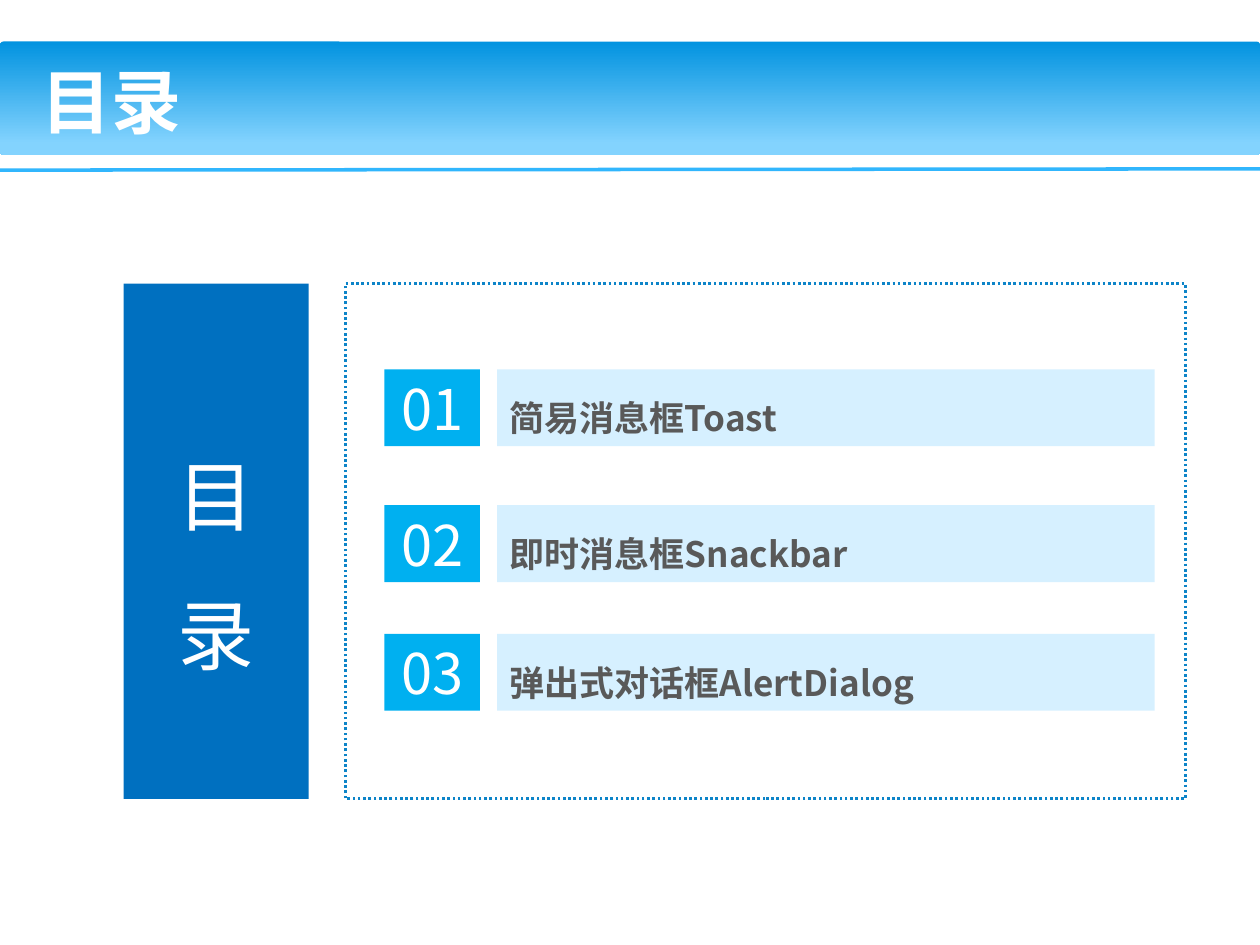
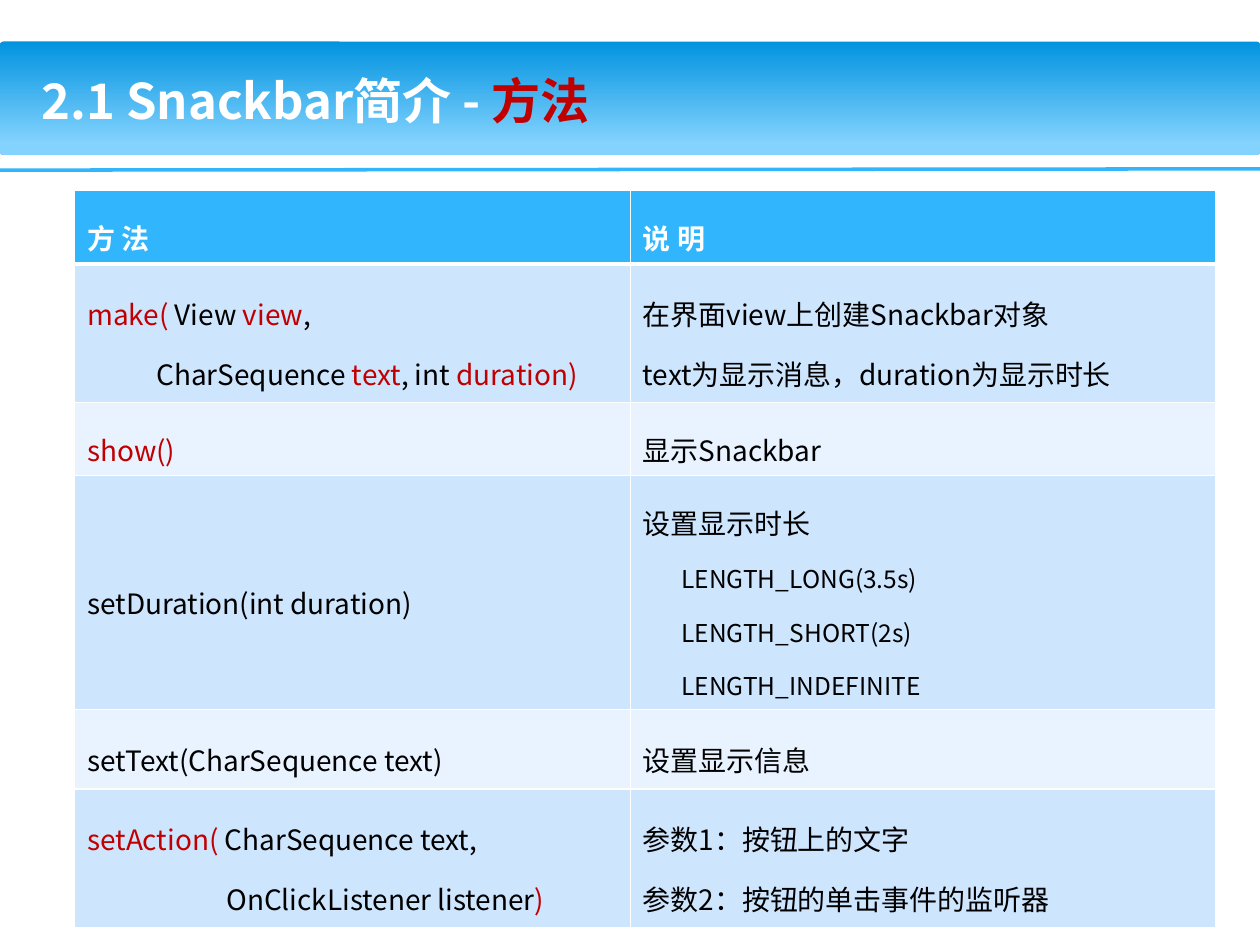
"""Build a contents slide and a Snackbar methods slide."""
from itertools import cycle

from lxml import etree
from pptx import Presentation
from pptx.dml.color import RGBColor
from pptx.enum import dml, shapes, text
from pptx.oxml.ns import qn
from pptx.util import Pt

FONT = "Noto Sans CJK SC"
WHITE = RGBColor(0xFF, 0xFF, 0xFF)
BLACK = RGBColor(0, 0, 0)
RED = RGBColor(0xC0, 0, 0)
GRAY = RGBColor(0x59, 0x59, 0x59)
DEEP = RGBColor(0x02, 0x93, 0xE0)
LIGHT = RGBColor(0x83, 0xD3, 0xFE)
SKY = RGBColor(0x31, 0xB6, 0xFD)
NAVY = RGBColor(0x00, 0x70, 0xC0)
EDGE = RGBColor(0x0D, 0x84, 0xC8)
CYAN = RGBColor(0x00, 0xB0, 0xF0)
PALE = RGBColor(0xD6, 0xF0, 0xFF)
ODD = RGBColor(0xCE, 0xE5, 0xFE)
EVEN = RGBColor(0xE8, 0xF3, 0xFF)
LEFT, MID = text.PP_ALIGN.LEFT, text.PP_ALIGN.CENTER


def style(para, size, color, bold=False, align=LEFT, space=1.5):
    """Format a paragraph; parts between bars turn red."""
    parts = para.text.split("|")
    para.clear()
    para.alignment = align
    para.line_spacing = space
    for part, tint in zip(parts, cycle((color, RED))):
        if part:
            run = para.add_run()
            run.text = part
            run.font.size = Pt(size)
            run.font.bold = bold
            run.font.color.rgb = tint
            run.font.name = FONT
            etree.SubElement(run._r.get_or_add_rPr(), qn("a:ea"), typeface=FONT)


def block(home, x, y, w, h, fill=None):
    """Add a flat rectangle without outline."""
    rect = home.shapes.add_shape(
        shapes.MSO_SHAPE.RECTANGLE, Pt(x), Pt(y), Pt(w), Pt(h))
    rect.shadow.inherit = False
    rect.line.fill.background()
    if fill is None:
        rect.fill.background()
    else:
        rect.fill.solid()
        rect.fill.fore_color.rgb = fill
    return rect


deck = Presentation()
deck.slide_width, deck.slide_height = Pt(720), Pt(540)
base = deck.slide_layouts[5]
head = base.placeholders[0]
head.left, head.top, head.width, head.height = Pt(16.5), Pt(26), Pt(633.5), Pt(62.5)
head.text_frame.vertical_anchor = text.MSO_ANCHOR.MIDDLE
head.text_frame.auto_size = text.MSO_AUTO_SIZE.NONE

first, second = [deck.slides.add_slide(base) for _ in range(2)]
for slide, name, size in ((first, "目录", 40),
                          (second, "2.1 Snackbar简介 - |方法", 28)):
    slide.shapes.title.text_frame.text = name
    style(slide.shapes.title.text_frame.paragraphs[0], size, WHITE, True, space=1)

band = first.shapes.add_shape(
    shapes.MSO_SHAPE.ROUNDED_RECTANGLE, Pt(0), Pt(23.75), Pt(720), Pt(64.8))
band.adjustments[0] = 0.03
band.shadow.inherit = False
band.line.fill.background()
band.fill.gradient()
band.fill.gradient_angle = 270
for stop, tint, place in zip(band.fill.gradient_stops, (DEEP, LIGHT), (0, 0.9)):
    stop.color.rgb = tint
    stop.position = place
rule = first.shapes.add_connector(
    shapes.MSO_CONNECTOR.STRAIGHT, Pt(0), Pt(97.2), Pt(720), Pt(96.5))
rule.line.color.rgb = SKY
rule.line.width = Pt(2)
etree.SubElement(rule.element.spPr, qn("a:effectLst"))
for spot, part in enumerate((band, rule), 2):
    base.shapes.element.insert(spot, part.element)

frame = block(first, 197.3, 162, 480.2, 294.5)
frame.line.color.rgb = EDGE
frame.line.width = Pt(1.5)
frame.line.dash_style = dml.MSO_LINE.ROUND_DOT
side = block(first, 70.6, 162, 105.8, 294.5, NAVY)
side.text_frame.text = "目\n录"
for para in side.text_frame.paragraphs:
    style(para, 44, WHITE, align=MID)

items = ((211, "简易消息框Toast"), (288.7, "即时消息框Snackbar"),
         (362.2, "弹出式对话框AlertDialog"))
for count, (top, name) in enumerate(items, 1):
    group = first.shapes.add_group_shape()
    bar = block(group, 284, top, 375.8, 43.9, PALE)
    bar.text_frame.vertical_anchor = text.MSO_ANCHOR.TOP
    bar.text_frame.text = name
    style(bar.text_frame.paragraphs[0], 20, GRAY, True)
    tag = block(group, 219.6, top, 54.7, 43.9, CYAN)
    body = tag.text_frame
    body.margin_left = body.margin_right = Pt(5)
    body.margin_top = body.margin_bottom = Pt(3)
    body.text = f"{count:02}"
    style(body.paragraphs[0], 32, WHITE, align=MID, space=1)

rows = (
    (41, "方 法", "说 明"),
    (79.2, "|make( |View |view|,\nCharSequence |text|, int |duration)",
     "在界面view上创建Snackbar对象\ntext为显示消息，duration为显示时长"),
    (41, "|show()", "显示Snackbar"),
    (94.3, "setDuration(int duration)",
     "设置显示时长\nLENGTH_LONG(3.5s)\nLENGTH_SHORT(2s)\nLENGTH_INDEFINITE"),
    (45.4, "setText(CharSequence text)", "设置显示信息"),
    (79.2, "|setAction( |CharSequence text,\nOnClickListener listener|)",
     "参数1：按钮上的文字\n参数2：按钮的单击事件的监听器"),
)
indents = {"Char": 39.5, "OnCl": 79.5, "LENG": 22}
grid = second.shapes.add_table(
    len(rows), 2, Pt(42.7), Pt(109), Pt(652.3), Pt(380)).table
grid.columns[0].width, grid.columns[1].width = Pt(317.5), Pt(334.8)
for r, (high, *words) in enumerate(rows):
    grid.rows[r].height = Pt(high)
    for c, word in enumerate(words):
        cell = grid.cell(r, c)
        cell.vertical_anchor = text.MSO_ANCHOR.MIDDLE
        cell.text_frame.text = word
        for para in cell.text_frame.paragraphs:
            start = para.text[:4]
            if start in indents:
                para._p.get_or_add_pPr().set("marL", str(Pt(indents[start])))
            style(para, 14 if start == "LENG" else 16,
                  BLACK if r else WHITE, r == 0)
        props = cell._tc.get_or_add_tcPr()
        for edge in "LRTB":
            thick = (r, edge) in ((0, "B"), (1, "T"))
            line = etree.SubElement(
                props, qn(f"a:ln{edge}"), w=str(Pt(3 if thick else 1)))
            paint = etree.SubElement(line, qn("a:solidFill"))
            etree.SubElement(paint, qn("a:srgbClr"), val=str(WHITE))
        cell.fill.solid()
        cell.fill.fore_color.rgb = (ODD if r % 2 else EVEN) if r else SKY

deck.save("out.pptx")
